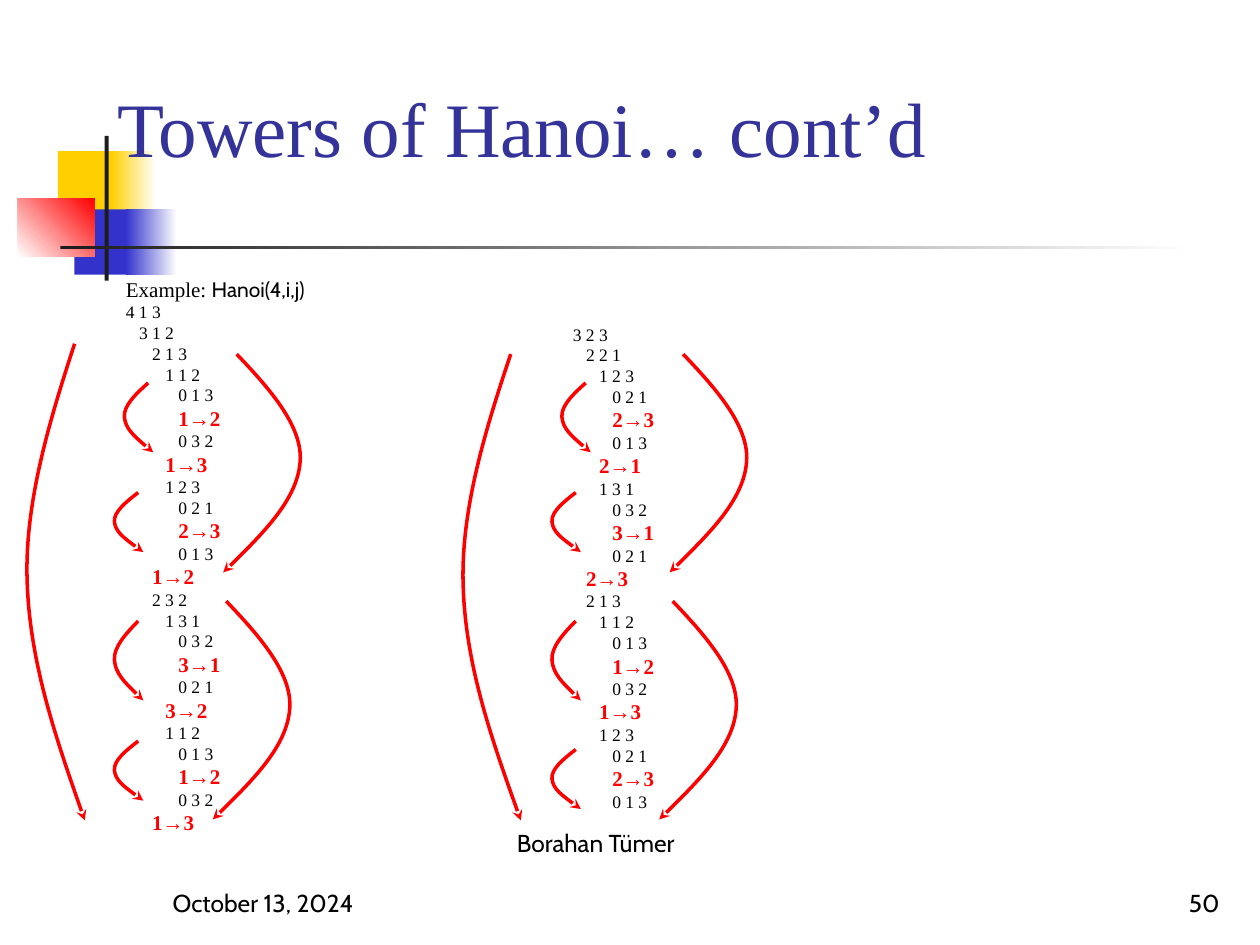
from dataclasses import dataclass

from lxml import etree
from pptx import Presentation
from pptx import util as u
from pptx.dml.color import RGBColor
from pptx.enum import shapes, text
from pptx.oxml.ns import qn


@dataclass(frozen=True)
class Theme:
    serif: str = "Times New Roman"
    sans: str = "Cabin"
    title_size: int = 44
    footer_size: int = 14
    move_size: int = 12
    call_size: int = 10
    title: str = "333399"
    ink: str = "000000"
    red: str = "FF0000"
    yellow: str = "FFCF01"
    blue: str = "3333CC"
    dark: str = "1C1C1C"
    white: str = "FFFFFF"


ARC_X = (0.83, 0.41, 0, 0.03, 0.06, 0.52, 1)
ARC_Y = (0, 0.16, 0.33, 0.49, 0.66, 0.83, 1)
INDENT = 7.5


class SlideBuilder:
    def __init__(self, slide, theme):
        self.slide = slide
        self.theme = theme

    def block(self, left, top, width, height, *colors, angle=0):
        box = self.slide.shapes.add_shape(
            shapes.MSO_SHAPE.RECTANGLE, *map(u.Cm, (left, top, width, height)))
        box.shadow.inherit = False
        box.line.fill.background()
        if len(colors) == 1:
            box.fill.solid()
            box.fill.fore_color.rgb = RGBColor.from_string(colors[0])
            return
        box.fill.gradient()
        box.fill.gradient_angle = angle
        for stop, color in zip(box.fill.gradient_stops, colors):
            stop.color.rgb = RGBColor.from_string(color)

    def frame(self, left, top, width, height, anchor):
        box = self.slide.shapes.add_textbox(*map(u.Cm, (left, top, width, height)))
        box.text_frame.word_wrap = True
        box.text_frame.vertical_anchor = anchor
        return box.text_frame

    def style(self, span, font, size, color, bold=False):
        span.font.name = font
        span.font.size = u.Pt(size)
        span.font.bold = bold
        span.font.color.rgb = RGBColor.from_string(color)

    def label(self, area, words, font, size, color, anchor, align=text.PP_ALIGN.LEFT):
        frame = self.frame(*area, anchor)
        frame.text = words
        para = frame.paragraphs[0]
        para.alignment = align
        self.style(para.runs[0], font, size, color)

    def space(self, para, size):
        para.line_spacing = 0.8
        para.space_before = u.Pt(round(size * 0.235, 1))

    def trace(self, area, rows, heading=None):
        theme = self.theme
        frame = self.frame(*area, text.MSO_ANCHOR.TOP)
        lines = [words for depth, words in rows]
        frame.text = "\n".join(lines if heading is None else ["".join(heading)] + lines)
        paras = list(frame.paragraphs)
        if heading:
            para = paras.pop(0)
            para.text = heading[0]
            para.add_run().text = heading[1]
            self.space(para, theme.move_size)
            for span, font in zip(para.runs, (theme.serif, theme.sans)):
                self.style(span, font, theme.move_size, theme.ink)
        for para, (depth, words) in zip(paras, rows):
            move = "→" in words
            size = theme.move_size if move else theme.call_size
            self.space(para, size)
            para._p.get_or_add_pPr().set("marL", str(u.Pt(depth * INDENT)))
            self.style(para.runs[0], theme.serif, size,
                       theme.red if move else theme.ink, move)

    def arc(self, left, top, width, height, mirrored=False):
        points = [(u.Cm(left + width * (1 - x if mirrored else x)),
                   u.Cm(top + height * y)) for x, y in zip(ARC_X, ARC_Y)]
        builder = self.slide.shapes.build_freeform(*points[0])
        builder.add_line_segments(points[1:], close=False)
        curve = builder.convert_to_shape()
        curve.shadow.inherit = False
        curve.fill.background()
        curve.line.width = u.Pt(2)
        curve.line.color.rgb = RGBColor.from_string(self.theme.red)
        etree.SubElement(curve.line._get_or_add_ln(), qn("a:tailEnd"), type="stealth")
        outline = curve._element.xpath(".//a:path")[0]
        segments = outline.findall(qn("a:lnTo"))
        for first in range(0, len(segments), 3):
            bezier = etree.SubElement(outline, qn("a:cubicBezTo"))
            for segment in segments[first:first + 3]:
                bezier.append(segment[0])
                outline.remove(segment)


def hanoi(disks, source, target, depth):
    spare = 6 - source - target
    rows = [(depth, f"{disks} {source} {target}")]
    if disks:
        rows += hanoi(disks - 1, source, spare, depth + 1)
        rows.append((depth + 1, f"{source}→{target}"))
        rows += hanoi(disks - 1, spare, target, depth + 1)
    return rows


def main():
    deck = Presentation()
    deck.slide_width, deck.slide_height = u.Cm(25.4), u.Cm(19.05)
    theme = Theme()
    page = SlideBuilder(deck.slides.add_slide(deck.slide_layouts[6]), theme)

    page.block(1.17, 3.05, 1.22, 1.32, theme.yellow)
    page.block(2.24, 3.05, 0.91, 1.32, theme.yellow, theme.white)
    page.block(1.5, 4.22, 1.17, 1.32, theme.blue)
    page.block(2.54, 4.22, 1.02, 1.32, theme.blue, theme.white)
    page.block(0.36, 4.01, 1.55, 1.17, theme.white, theme.red, angle=45)
    page.block(2.11, 2.74, 0.08, 2.92, theme.dark)
    page.block(1.22, 4.95, 22.86, 0.08, theme.dark, theme.white)

    for area, words, align in (
            ((3.23, 17.35, 5.28, 1.27), "October 13, 2024", text.PP_ALIGN.LEFT),
            ((9.47, 16.15, 5.08, 1.27), "Borahan Tümer", text.PP_ALIGN.CENTER),
            ((19.56, 17.35, 5.28, 1.27), "50", text.PP_ALIGN.RIGHT)):
        page.label(area, words, theme.sans, theme.footer_size, theme.ink,
                   text.MSO_ANCHOR.BOTTOM, align)
    page.label((2.11, 0.53, 21.64, 4.06), "Towers of Hanoi… cont’d", theme.serif,
               theme.title_size, theme.title, text.MSO_ANCHOR.MIDDLE)

    first_half = [(0, "4 1 3"), *hanoi(3, 1, 2, 1), (2, "1→3")]
    page.trace((2.29, 5.54, 11.23, 12.57), first_half, ("Example: ", "Hanoi(4,i,j)"))
    page.trace((11.3, 6.48, 11.23, 12.57), hanoi(3, 2, 3, 0))

    page.arc(0.51, 6.93, 1.2, 9.61)
    page.arc(9.3, 7.14, 1.2, 9.4)
    for shift in (0, 9):
        page.arc(4.5 + shift, 7.14, 1.6, 4.4, mirrored=True)
        page.arc(4.29 + shift, 12.12, 1.6, 4.4, mirrored=True)
    for shift, last_top in ((0, 14.94), (8.82, 15.11)):
        page.arc(2.49 + shift, 7.72, 0.6, 1.4)
        for top, height in ((9.93, 1.2), (12.52, 1.6), (last_top, 1.2)):
            page.arc(2.29 + shift, top, 0.6, height)

    deck.save("out.pptx")


if __name__ == "__main__":
    main()
